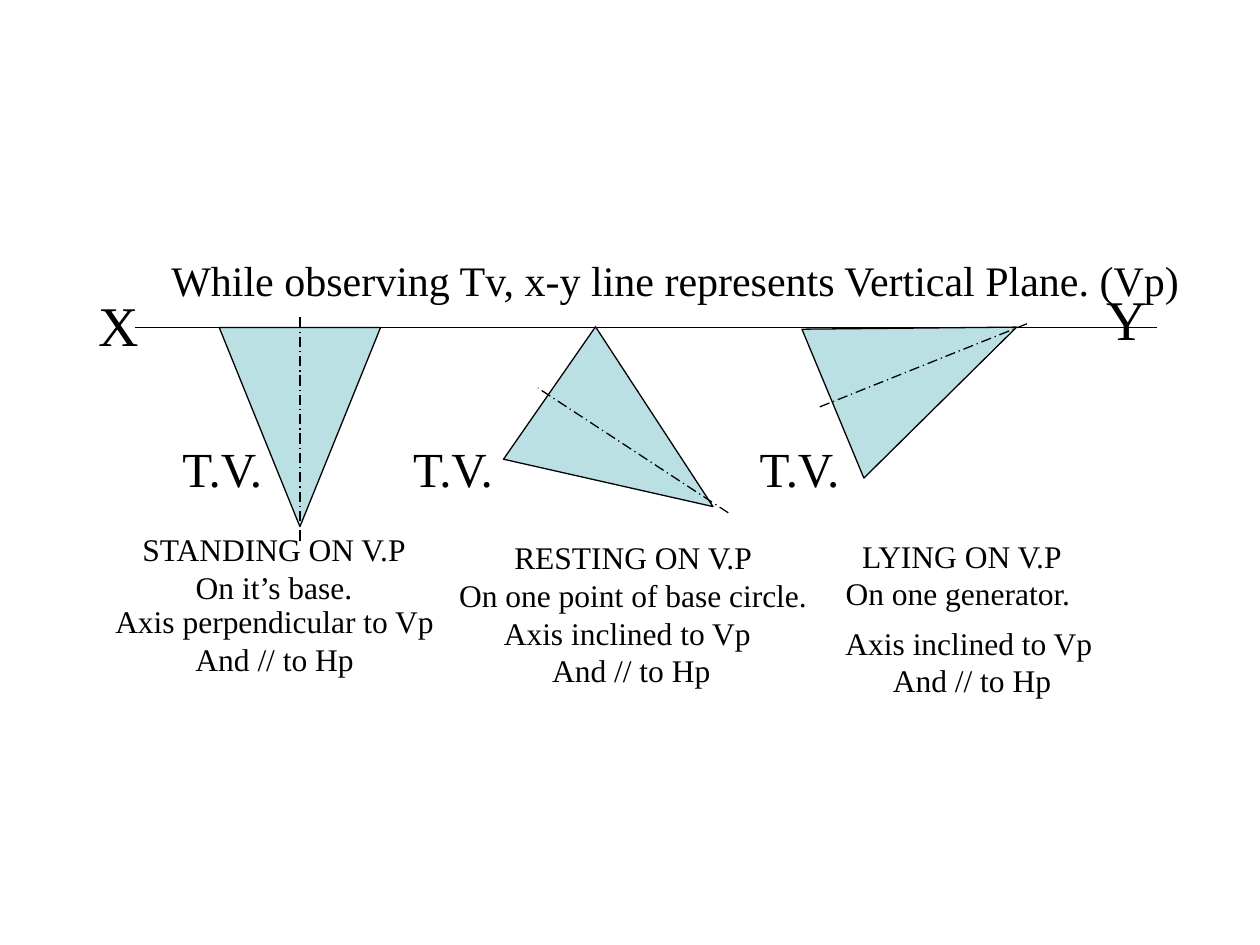
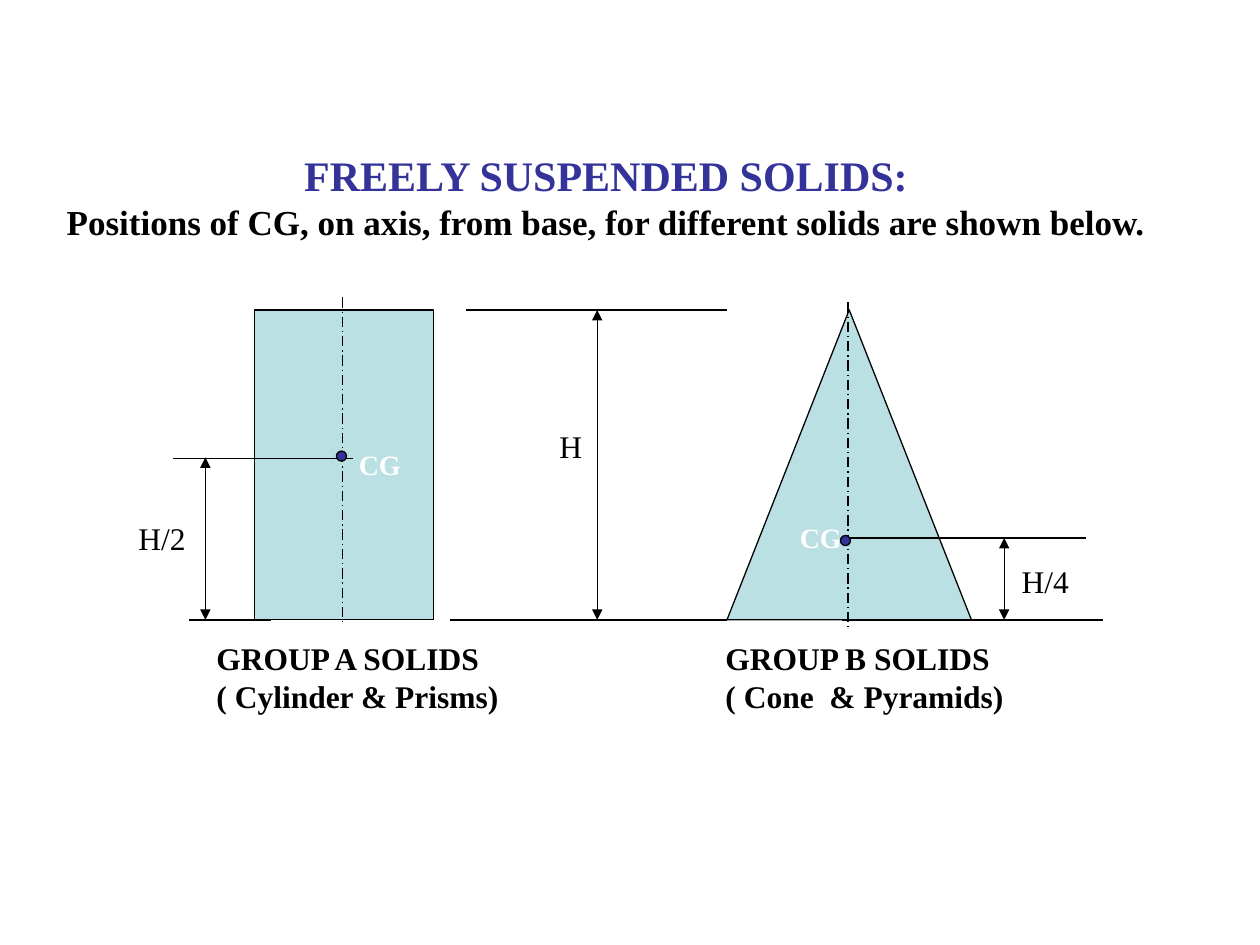
"""Builds two slides on how solids rest on the vertical plane and where their CG lies."""
from dataclasses import dataclass

import pptx
import pptx.dml.color
import pptx.enum.dml
import pptx.enum.shapes
import pptx.enum.text
import pptx.oxml.ns
import pptx.util
from lxml import etree

SHAPES = pptx.enum.shapes.MSO_SHAPE
ALIGN = pptx.enum.text.PP_ALIGN
SLIDE_WIDTH = pptx.util.Inches(10)
SLIDE_HEIGHT = pptx.util.Inches(7.5)
COLUMNS = 100
TITLE_ONLY = 5


@dataclass(frozen=True)
class Theme:
    """Colours, font and type sizes shared by the slides."""
    font: str = "Times New Roman"
    ink: str = "000000"
    solid: str = "BBE0E3"
    accent: str = "333399"
    light: str = "FFFFFF"
    letter: int = 32
    view: int = 28
    title: int = 24
    subtitle: int = 20
    body: int = 18
    mark: int = 16
    line: float = 0.75


THEME = Theme()


def grid(*cells):
    """Turn counts of square grid cells, 100 to the slide's width, into lengths."""
    return [round(cell * SLIDE_WIDTH / COLUMNS) for cell in cells]


def color(code):
    """Return the colour for a hex code."""
    return pptx.dml.color.RGBColor.from_string(code)


def style_line(line):
    """Give a line or outline the shared colour and width."""
    line.color.rgb = color(THEME.ink)
    line.width = pptx.util.Pt(THEME.line)


def write(box, lines, align, bold=False):
    """Fill a box with one paragraph for each (text, size, colour)."""
    frame = box.text_frame
    frame.word_wrap = False
    frame.auto_size = pptx.enum.text.MSO_AUTO_SIZE.SHAPE_TO_FIT_TEXT
    for number, (text, size, code) in enumerate(lines):
        para = frame.paragraphs[0] if number == 0 else frame.add_paragraph()
        para.alignment = align
        span = para.add_run()
        span.text = text
        span.font.name = THEME.font
        span.font.size = pptx.util.Pt(size)
        span.font.bold = bold
        span.font.color.rgb = color(code)


def add_page(deck, place, lines, align, bold=False):
    """Add a page with its title placed on the grid."""
    page = deck.slides.add_slide(deck.slide_layouts[TITLE_ONLY])
    title = page.shapes.title
    title.left, title.top, title.width, title.height = grid(*place)
    title.text_frame.vertical_anchor = pptx.enum.text.MSO_ANCHOR.TOP
    write(title, lines, align, bold)
    return page


def add_label(page, place, texts, size=THEME.body, code=THEME.ink,
              align=ALIGN.LEFT, bold=False):
    """Add a text box with paragraphs of one style."""
    box = page.shapes.add_textbox(*grid(*place))
    write(box, [(text, size, code) for text in texts], align, bold)


def add_solid(page, kind, place, rotation=0, fill=THEME.solid):
    """Add an outlined, filled shape."""
    shape = page.shapes.add_shape(kind, *grid(*place))
    shape.rotation = rotation
    shape.shadow.inherit = False
    shape.fill.solid()
    shape.fill.fore_color.rgb = color(fill)
    style_line(shape.line)


def add_line(page, start, end):
    """Add a thin straight line without a shadow."""
    line = page.shapes.add_connector(
        pptx.enum.shapes.MSO_CONNECTOR.STRAIGHT, *grid(*start, *end))
    style_line(line.line)
    etree.SubElement(line.element.spPr, pptx.oxml.ns.qn("a:effectLst"))
    return line


def add_axis(page, start, end):
    """Add a dash-dot axis."""
    axis = add_line(page, start, end)
    axis.line.dash_style = pptx.enum.dml.MSO_LINE.LONG_DASH_DOT


def add_dimension(page, column, top, bottom):
    """Add a vertical dimension line with an arrowhead at each end."""
    dimension = add_line(page, (column, top), (column, bottom))
    outline = dimension.line._get_or_add_ln()
    for end in ("a:headEnd", "a:tailEnd"):
        etree.SubElement(outline, pptx.oxml.ns.qn(end), type="triangle")


def add_cone_positions(deck):
    """Show the top views of a cone in three positions on the vertical plane."""
    heading = "While observing Tv, x-y line represents Vertical Plane. (Vp)"
    page = add_page(deck, (12.6, 19.7, 82.7, 5),
                    [(heading, THEME.title, THEME.ink)], ALIGN.LEFT)
    cone_width, cone_height = 12.8, 15.8
    cones = [(17.4, 26, 180), (43.7, 27.8, 124.8), (67, 21.1, 67.4)]
    for left, top, rotation in cones:
        add_solid(page, SHAPES.ISOSCELES_TRIANGLE,
                  (left, top, cone_width, cone_height), rotation)
    add_line(page, (10.7, 26), (91.8, 26))
    axes = [((23.8, 42.9), (23.8, 24.9)), ((57.8, 40.7), (42.7, 30.8)),
            ((81.5, 25.7), (64.8, 32.4))]
    for start, end in axes:
        add_axis(page, start, end)

    for letter, left, top in (("X", 6.8, 22.6), ("Y", 86.8, 22.1)):
        add_label(page, (left, top, 5.3, 6.4), [letter], THEME.letter)
    for left in (13.5, 31.8, 59.3):
        add_label(page, (left, 34.3, 8.4, 5.7), ["T.V."], THEME.view)
    captions = [
        (10.2, 41.6, 23.1, "STANDING ON V.P", "On it’s base."),
        (8, 47.3, 27.6, "Axis perpendicular to Vp", "And // to Hp"),
        (35.3, 42.2, 29.9, "RESTING ON V.P", "On one point of base circle."),
        (38.9, 48.2, 22.4, "Axis inclined to Vp ", "And // to Hp"),
        (66, 42.1, 20.7, "LYING ON V.P", "On one generator. "),
        (66, 49, 21.8, "Axis inclined to Vp", " And // to Hp"),
    ]
    for left, top, width, *texts in captions:
        add_label(page, (left, top, width, 7.1), texts, align=ALIGN.CENTER)


def add_suspended_solids(deck):
    """Show the height of the CG in the two groups of solids."""
    subtitle = "Positions of CG, on axis, from base, for different solids are shown below."
    page = add_page(deck, (4, 11.4, 88.2, 8.4),
                    [("FREELY SUSPENDED SOLIDS:", THEME.title, THEME.accent),
                     (subtitle, THEME.subtitle, THEME.ink)], ALIGN.CENTER, True)
    height = top = 24.6
    base = top + height
    half_level, quarter_level = 36.4, 42.7
    add_solid(page, SHAPES.RECTANGLE, (20.2, top, 14.2, height))
    add_solid(page, SHAPES.ISOSCELES_TRIANGLE, (57.7, top, 19.4, height))

    levels = [(37, 57.7, top), (35.7, 57.7, base), (15, 21.5, base),
              (13.7, 28, half_level), (66.8, 86.2, quarter_level),
              (66.8, 87.5, base)]
    for left, right, level in levels:
        add_line(page, (left, level), (right, level))
    for column, start in ((47.4, top), (79.7, quarter_level), (16.3, 36.3)):
        add_dimension(page, column, start, base)
    for column, start in ((27.2, 23.6), (67.3, 24)):
        add_axis(page, (column, start), (column, start + 25.9))

    heights = [("H", 43.4, 33.4, 3.8), ("H/2", 10, 40.7, 5.8), ("H/4", 80.1, 44.1, 5.8)]
    for text, left, level, width in heights:
        add_label(page, (left, level, width, 4), [text])
    groups = [(16.2, 24.6, "GROUP A SOLIDS", "( Cylinder & Prisms)"),
              (56.6, 24.3, "GROUP B SOLIDS", "( Cone  & Pyramids)")]
    for left, width, *texts in groups:
        add_label(page, (left, 50.2, width, 7.1), texts, bold=True)
    for left, level in ((27.5, 35), (62.5, 40.8)):
        add_label(page, (left, level, 5.4, 3.7), ["CG"], THEME.mark, THEME.light, bold=True)
    for left, level in ((26.7, 35.8), (66.7, 42.5)):
        add_solid(page, SHAPES.OVAL, (left, level, 0.8, 0.8), fill=THEME.accent)


def main():
    """Build the deck and save it."""
    deck = pptx.Presentation()
    deck.slide_width, deck.slide_height = SLIDE_WIDTH, SLIDE_HEIGHT
    add_cone_positions(deck)
    add_suspended_solids(deck)
    deck.save("out.pptx")


if __name__ == "__main__":
    main()
